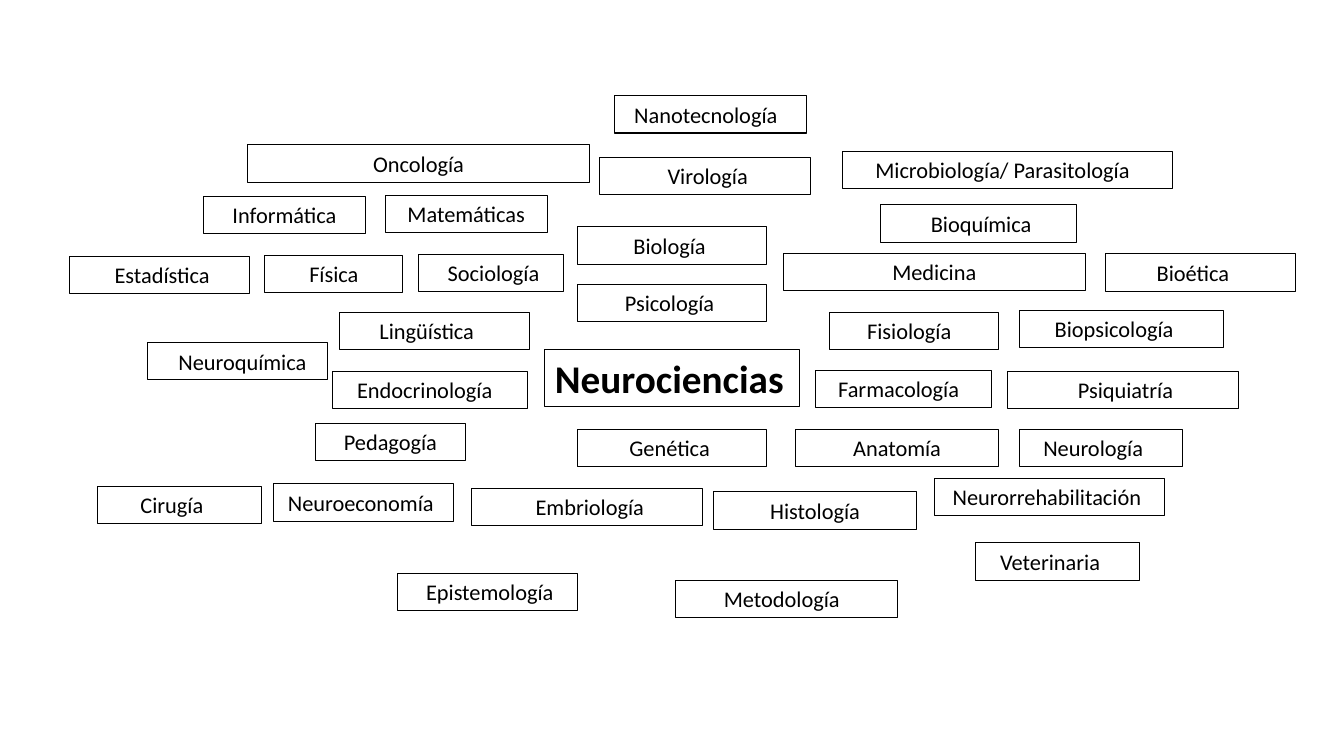
"""Map of the disciplines that surround the neurosciences."""
from pptx import Presentation
from pptx.dml.color import RGBColor as Color
from pptx.enum.text import MSO_ANCHOR as Anchor, MSO_AUTO_SIZE as AutoSize, PP_ALIGN as Align
from pptx.util import Pt

COLORS = {"ink": "000000", "line": "000000"}
LABEL_HEIGHT = 26.64

DISCIPLINES = [
    ("Nanotecnología", 439.2, 68.4, 137.2, -3.6),
    ("Oncología", 177, 103.5, 244, 0),
    ("Microbiología/ Parasitología", 602, 108, 235.5, -3.6),
    ("Virología", 428.2, 112.2, 151, 1.8),
    ("Matemáticas", 275.2, 139.7, 115.7, 0),
    ("Informática", 145.2, 140.2, 116, 0),
    ("Bioquímica", 629.2, 146.4, 139.7, 1.8),
    ("Biología", 412.5, 162, 135.2, -1.8),
    ("Medicina", 559.4, 181, 216, 0),
    ("Sociología", 299, 181.5, 103.5, 1.8),
    ("Bioética", 789.7, 181.4, 135.6, -5.4),
    ("Física", 189.2, 182.2, 98.5, 0),
    ("Estadística", 49.7, 183.2, 128.7, 1.8),
    ("Psicología", 412.5, 203, 135.2, -1.8),
    ("Biopsicología", 728.2, 221.7, 146, -5.4),
    ("Lingüística", 242.5, 223, 135.5, -5.4),
    ("Fisiología", 592.5, 223, 121, -3.6),
    ("Neuroquímica", 105.2, 244.8, 128.8, 3.6),
    ("Farmacología", 582.5, 264.7, 126, -3.6),
    ("Endocrinología", 237.2, 265.2, 139.7, -3.6),
    ("Psiquiatría", 719.6, 265.4, 165, 1.8),
    ("Pedagogía", 225.4, 302.4, 107, 0),
    ("Genética", 412.5, 306.7, 135.2, -1.8),
    ("Anatomía", 568.2, 306.7, 145.2, 0),
    ("Neurología", 728, 306.7, 116.6, -5.4),
    ("Neurorrehabilitación", 667.2, 341.8, 164.9, -1.8),
    ("Neuroeconomía", 195.2, 345.6, 128.8, -1.8),
    ("Cirugía", 69.7, 347.2, 117, -5.4),
    ("Embriología", 337, 349, 165, 1.8),
    ("Histología", 509.5, 351.4, 145.5, 0),
    ("Veterinaria", 697, 387.8, 117, -5.4),
    ("Epistemología", 283.6, 409.7, 128.9, 1.8),
    ("Metodología", 482.8, 414.7, 158.5, -3.6),
]


class ConceptMap:
    """Holds the style and the current page of the map."""

    def __init__(self, page, font="Calibri"):
        self.page = page
        self.font = font

    def label(self, text, left, top, width, shift=0, height=LABEL_HEIGHT, size=16, bold=False):
        """Add an outlined box whose centred text is moved sideways by the shift."""
        box = self.page.shapes.add_textbox(Pt(left), Pt(top), Pt(width), Pt(height))
        box.line.color.rgb = Color.from_string(COLORS["line"])
        box.line.width = Pt(0.75)
        frame = box.text_frame
        frame.word_wrap = True
        frame.auto_size = AutoSize.SHAPE_TO_FIT_TEXT
        frame.vertical_anchor = Anchor.TOP
        frame.margin_left, frame.margin_right = Pt(7.2 + shift), Pt(7.2 - shift)
        para = frame.paragraphs[0]
        para.alignment = Align.CENTER
        span = para.add_run()
        span.text = text
        span.font.name = self.font
        span.font.size = Pt(size)
        span.font.bold = bold
        span.font.color.rgb = Color.from_string(COLORS["ink"])


def main():
    deck = Presentation()
    deck.slide_width, deck.slide_height = Pt(960), Pt(540)
    concept_map = ConceptMap(deck.slides.add_slide(deck.slide_layouts[6]))
    concept_map.label("Neurociencias", 389, 249.4, 182.2, -2, height=41.2, size=28, bold=True)
    for discipline in DISCIPLINES:
        concept_map.label(*discipline)
    deck.save("out.pptx")


if __name__ == "__main__":
    main()
